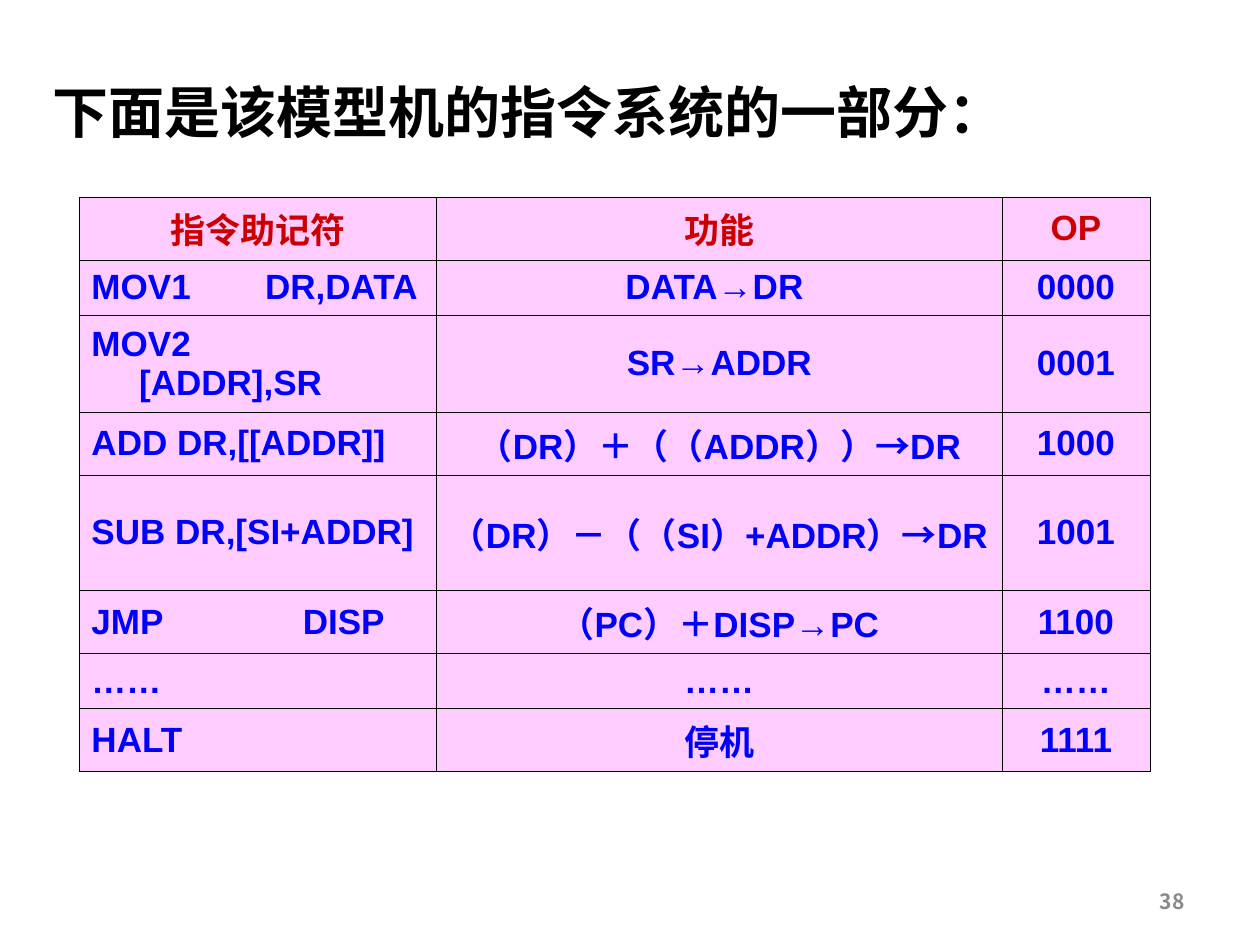
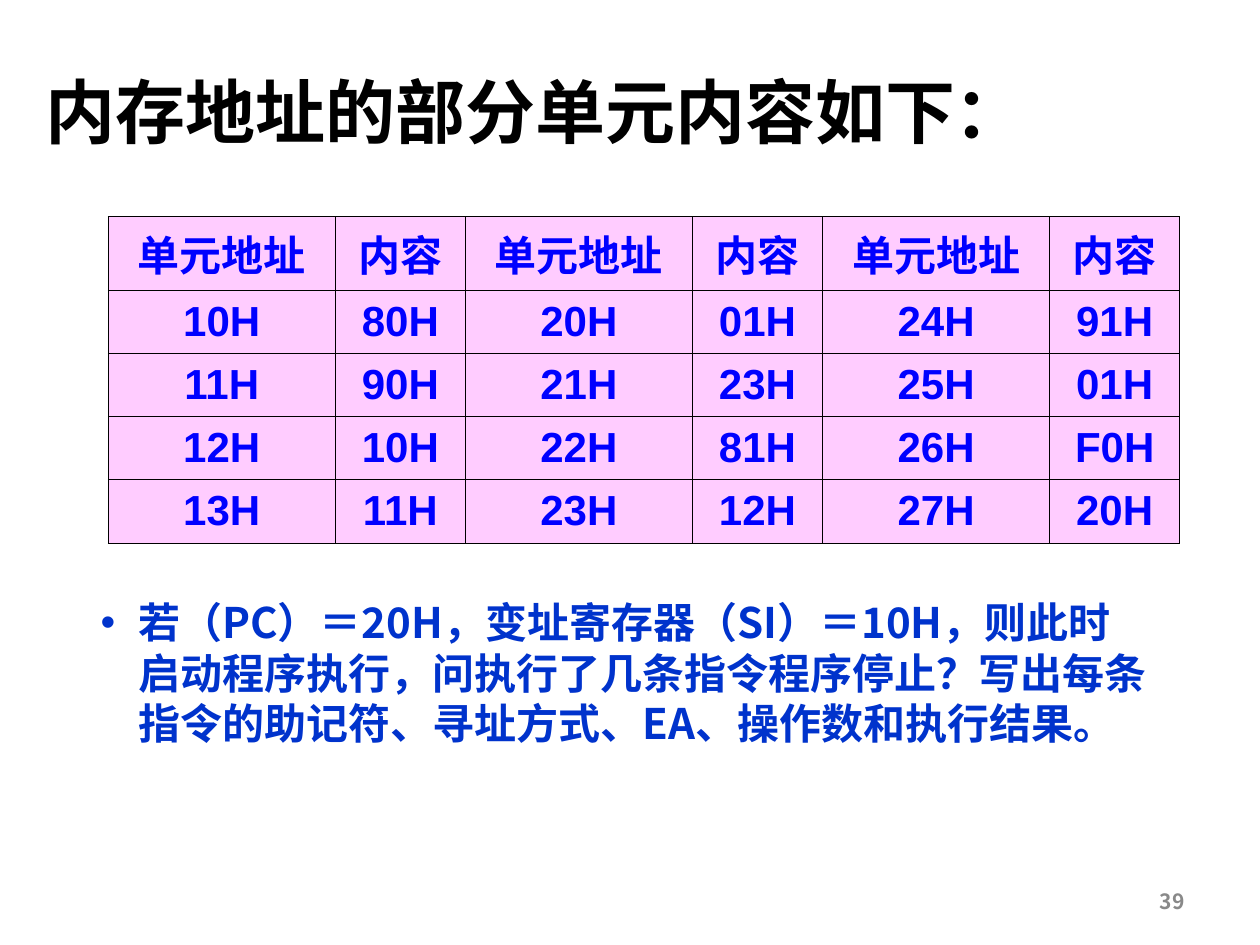
import pptx
import pptx.dml.color
import pptx.enum.text
import pptx.oxml.ns
import pptx.util
from lxml import etree
from pptx.util import Cm

COLORS = {"title": "000000", "border": "000000", "cell": "FFCCFF", "head": "CC0000",
          "entry": "0000FF", "question": "0033CC", "number": "898989"}
CJK_FONT = "Noto Sans CJK SC"
ALIGN = pptx.enum.text.PP_ALIGN
MIDDLE = pptx.enum.text.MSO_ANCHOR.MIDDLE
HANGING = 0.96
TAB_STEP = 2.54
TAB_COUNT = 8
BORDER_WIDTH = pptx.util.Pt(0.45)

INSTRUCTIONS = {
    "place": (1.59, 3.97),
    "widths": [7.21, 11.4, 2.98],
    "heights": [1.27, 1.11, 1.96, 1.27, 2.32, 1.27, 1.11, 1.27],
    "size": 20,
    "head_color": "head",
    "first_column": ALIGN.LEFT,
    "tab_steps": {5: 3.3},
    "rows": [
        ("指令助记符", "功能", "OP"),
        ("MOV1\tDR,DATA", "DATA→DR ", "0000"),
        ("MOV2\t[ADDR],SR", "SR→ADDR", "0001"),
        ("ADD DR,[[ADDR]]", "（DR）＋（（ADDR））→DR", "1000"),
        ("SUB DR,[SI+ADDR]", "（DR）－（（SI）+ADDR）→DR", "1001"),
        ("JMP\tDISP", "（PC）＋DISP→PC", "1100"),
        ("……", "……", "……"),
        ("HALT", "停机", "1111"),
    ],
}
MEMORY = {
    "place": (2.18, 4.37),
    "widths": [4.58, 2.62] * 3,
    "heights": [1.49] + [1.27] * 4,
    "size": 24,
    "head_color": "entry",
    "first_column": ALIGN.CENTER,
    "tab_steps": {},
    "rows": [
        ("单元地址", "内容") * 3,
        ("10H", "80H", "20H", "01H", "24H", "91H"),
        ("11H", "90H", "21H", "23H", "25H", "01H"),
        ("12H", "10H", "22H", "81H", "26H", "F0H"),
        ("13H", "11H", "23H", "12H", "27H", "20H"),
    ],
}
QUESTION = ("若（PC）＝20H，变址寄存器（SI）＝10H，则此时启动程序执行，问执行了几条指令程序停止？"
            "写出每条指令的助记符、寻址方式、EA、操作数和执行结果。")
SLIDES = [
    {"title": "下面是该模型机的指令系统的一部分： ", "title_size": 32, "number": "38",
     "table": INSTRUCTIONS},
    {"title": "内存地址的部分单元内容如下：", "title_size": 40, "number": "39",
     "table": MEMORY, "question": QUESTION},
]


def add_element(parent, tag, **attributes):
    element = etree.SubElement(parent, pptx.oxml.ns.qn(tag))
    for name, value in attributes.items():
        element.set(name, str(value))
    return element


def write(frame, text, size, font, color, align):
    """Fill the frame with one bold paragraph and return that paragraph."""
    para = frame.paragraphs[0]
    para.alignment = align
    span = para.add_run()
    span.text = text
    formats = {"size": pptx.util.Pt(size), "name": font, "bold": True}
    for name, value in formats.items():
        setattr(span.font, name, value)
    span.font.color.rgb = pptx.dml.color.RGBColor.from_string(COLORS[color])
    add_element(span.font._element, "a:ea", typeface=CJK_FONT)
    return para


def add_text(page, place, text, size, font, color, align, anchor=MIDDLE):
    box = page.shapes.add_textbox(*(Cm(length) for length in place))
    box.text_frame.word_wrap = True
    box.text_frame.vertical_anchor = anchor
    return write(box.text_frame, text, size, font, color, align)


def hang(para, indent):
    properties = para._p.get_or_add_pPr()
    properties.set("marL", str(Cm(indent)))
    properties.set("indent", str(-Cm(indent)))
    return properties


def add_tabs(properties, step):
    properties.set("defTabSz", str(Cm(step)))
    stops = add_element(properties, "a:tabLst")
    for index in range(TAB_COUNT):
        add_element(stops, "a:tab", pos=Cm(index * step), algn="l")


def style_cell(cell):
    cell.vertical_anchor = MIDDLE
    properties = cell._tc.get_or_add_tcPr()
    for side in ("a:lnL", "a:lnR", "a:lnT", "a:lnB"):
        line = add_element(properties, side, w=BORDER_WIDTH)
        add_element(add_element(line, "a:solidFill"), "a:srgbClr", val=COLORS["border"])
    cell.fill.solid()
    cell.fill.fore_color.rgb = pptx.dml.color.RGBColor.from_string(COLORS["cell"])


def add_grid(page, grid):
    rows, widths, heights = grid["rows"], grid["widths"], grid["heights"]
    left, top = grid["place"]
    table = page.shapes.add_table(len(rows), len(widths), Cm(left), Cm(top),
                                  Cm(sum(widths)), Cm(sum(heights))).table
    table.first_row = table.horz_banding = False
    for column, width in zip(table.columns, widths):
        column.width = Cm(width)
    for row, height in zip(table.rows, heights):
        row.height = Cm(height)
    for r, texts in enumerate(rows):
        for c, text in enumerate(texts):
            cell = table.cell(r, c)
            style_cell(cell)
            align = grid["first_column"] if r and not c else ALIGN.CENTER
            color = "entry" if r else grid["head_color"]
            para = write(cell.text_frame, text, grid["size"], "Arial", color, align)
            properties = hang(para, HANGING)
            if "\t" in text:
                add_tabs(properties, grid["tab_steps"].get(r, TAB_STEP))


def add_question(page, text):
    para = add_text(page, (1.78, 11.91, 21.59, 3.61), text, 24, CJK_FONT, "question",
                    ALIGN.LEFT, pptx.enum.text.MSO_ANCHOR.TOP)
    formats = {"line_spacing": 1.0, "space_before": pptx.util.Pt(9),
               "space_after": pptx.util.Pt(6)}
    for name, value in formats.items():
        setattr(para, name, value)
    properties = hang(para, 0.76)
    add_element(add_element(properties, "a:buClr"), "a:srgbClr", val=COLORS["question"])
    add_element(properties, "a:buFont", typeface="Arial")
    add_element(properties, "a:buChar", char="•")


def main():
    deck = pptx.Presentation()
    deck.slide_width, deck.slide_height = Cm(25.4), Cm(19.05)
    for content in SLIDES:
        page = deck.slides.add_slide(deck.slide_layouts[6])
        add_text(page, (18.21, 17.65, 5.92, 1.02), content["number"], 12, CJK_FONT,
                 "number", ALIGN.RIGHT)
        add_text(page, (0, 1.32, 21.59, 1.83), content["title"], content["title_size"],
                 "Calibri", "title", ALIGN.CENTER)
        add_grid(page, content["table"])
        if "question" in content:
            add_question(page, content["question"])
    deck.save("out.pptx")


if __name__ == "__main__":
    main()
